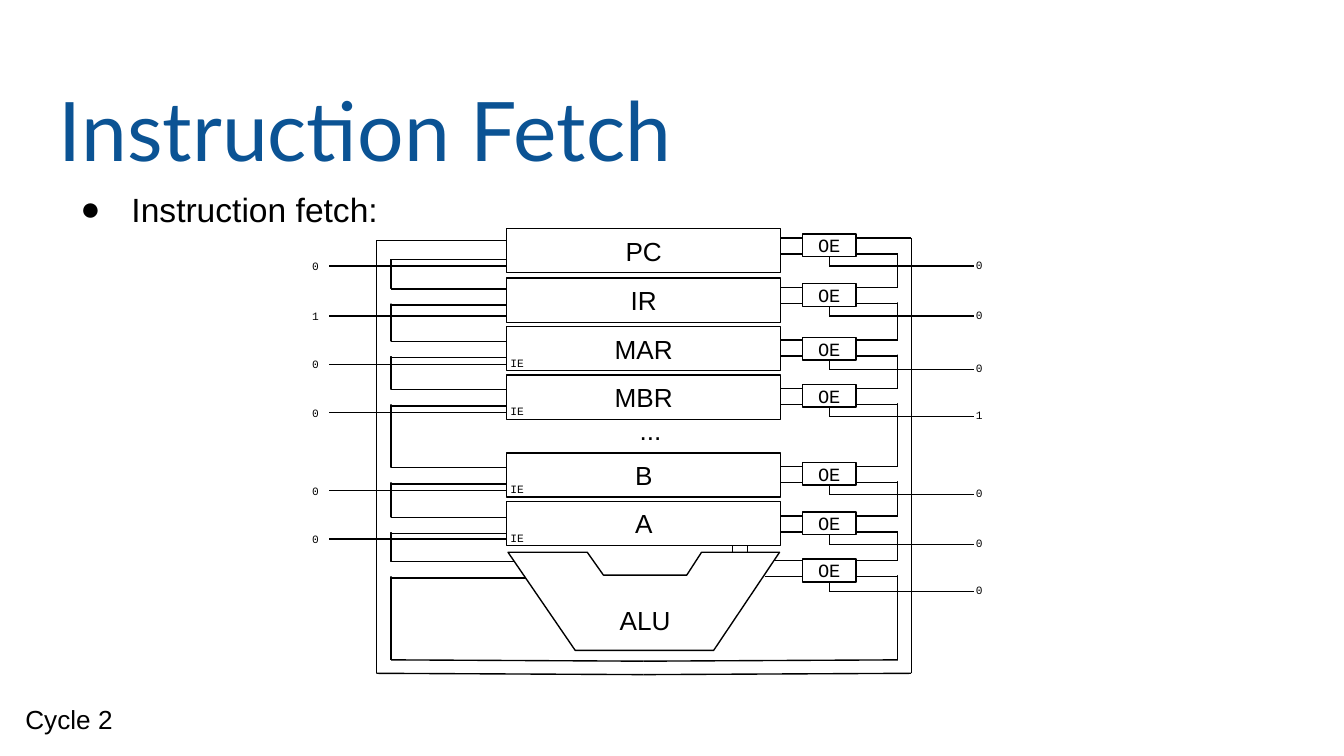
from lxml import etree
from pptx import Presentation, util as u
from pptx.dml.color import RGBColor
from pptx.enum import shapes as sh, text as tx
from pptx.oxml import ns

BLACK = RGBColor(0, 0, 0)
WHITE = RGBColor(255, 255, 255)
BLUE = RGBColor(0x0B, 0x53, 0x94)
SANS, MONO, HEAD = "Arial", "Courier New", "Lato"

deck = Presentation()
deck.slide_width = u.Inches(10)
deck.slide_height = deck.slide_width * 9 // 16
slide = deck.slides.add_slide(deck.slide_layouts[6])
unit = deck.slide_width // 1000


def wire(x1, y1, x2, y2):
    line = slide.shapes.add_connector(
        sh.MSO_CONNECTOR.STRAIGHT, x1 * unit, y1 * unit, x2 * unit, y2 * unit)
    line.line.color.rgb = BLACK
    line.line.width = u.Pt(0.75)
    etree.SubElement(line._element.spPr, ns.qn("a:effectLst"))


def put(x, y, w, h, words="", size=14, face=SANS, color=BLACK, box=False, mid=False):
    area = [n * unit for n in (x, y, w, h)]
    if box or not words:
        item = slide.shapes.add_shape(sh.MSO_SHAPE.RECTANGLE, *area)
        item.shadow.inherit = False
        item.fill.solid()
        item.fill.fore_color.rgb = WHITE
        if box:
            item.line.color.rgb = BLACK
            item.line.width = u.Pt(0.75)
        else:
            item.line.fill.background()
            return None
    else:
        item = slide.shapes.add_textbox(*area)
    frame = item.text_frame
    frame.word_wrap = True
    frame.margin_left = frame.margin_right = frame.margin_top = 10 * unit
    frame.margin_bottom = 0 if size == 6 else 10 * unit
    frame.vertical_anchor = tx.MSO_ANCHOR.MIDDLE if box else tx.MSO_ANCHOR.TOP
    para = frame.paragraphs[0]
    para.alignment = tx.PP_ALIGN.CENTER if box or mid else tx.PP_ALIGN.LEFT
    run = para.add_run()
    run.text = words
    run.font.size = u.Pt(size)
    run.font.name = face
    run.font.color.rgb = color
    return para


put(34, 49, 932, 63, "Instruction Fetch", 44, HEAD, BLUE)
item = put(38, 126, 869, 51, "Instruction fetch:", 18)
item.line_spacing = 1.15
props = item._p.get_or_add_pPr()
props.set("marL", str(50 * unit))
props.set("indent", str(-38 * unit))
tint = etree.SubElement(props, ns.qn("a:buClr"))
etree.SubElement(tint, ns.qn("a:srgbClr")).set("val", str(BLACK))
etree.SubElement(props, ns.qn("a:buSzPts")).set("val", "1800")
etree.SubElement(props, ns.qn("a:buFont")).set("typeface", SANS)
etree.SubElement(props, ns.qn("a:buChar")).set("char", "●")
item.font.size = u.Pt(18)
item.font.name = SANS

for x1, y1, x2, y2 in [
    (280, 179, 280, 501), (678, 177, 678, 501), (280, 501, 479, 502), (479, 502, 678, 501),
    (291, 193, 291, 491), (668, 189, 668, 491), (291, 491, 479, 492), (479, 492, 668, 491),
    (388, 179, 280, 179), (399, 193, 291, 193), (570, 177, 678, 177), (559, 189, 668, 189),
    (545, 401, 545, 412), (556, 401, 556, 412),
]:
    wire(x1, y1, x2, y2)

rows = [
    ("PC", 170, None, 198, "0", "0"),
    ("IR", 207, 215, 235, "1", "0"),
    ("MAR", 243, 254, 275, "0", "0"),
    ("MBR", 279, 290, 310, "0", "1"),
    ("B", 337, 348, 368, "0", "0"),
    ("A", 373, 385, 405, "0", "0"),
    ("ALU", 411, 418, 440, None, "0"),
]
for name, top, gap, out, load, send in rows:
    if gap:
        put(284, gap, 40, 11)
        put(635, gap - 1, 40, 11)
        for step in (0, 12):
            wire(392, gap + step, 291, gap + step)
            wire(569, gap + step - 1, 668, gap + step - 1)
    wire(617, out, 725, out)
    wire(617, out, 617, out - 7)
    put(597, out - 24, 40, 17, "OE", 10, MONO, box=True)
    put(718, out - 16, 18, 21, send, 6, MONO)
    if load:
        wire(245, top + 28, 377, top + 28)
        put(224, top + 13, 18, 21, load, 6, MONO)
        put(377, top, 204, 33, name, box=True)
    if name in ("MAR", "MBR", "B", "A"):
        put(370, top + 12, 40, 20, "IE", 6, MONO)

pen = slide.shapes.build_freeform(378, 411, scale=unit)
pen.add_line_segments([(437, 411), (449, 428), (511, 428), (522, 411),
                       (580, 411), (531, 484), (428, 484)], close=True)
alu = pen.convert_to_shape()
alu.shadow.inherit = False
alu.fill.solid()
alu.fill.fore_color.rgb = WHITE
alu.line.color.rgb = BLACK
alu.line.width = u.Pt(0.75)

put(449, 440, 62, 28, "ALU", mid=True)
put(466, 298, 38, 44, "...")
put(9, 513, 435, 51, "Cycle 2")

deck.save("out.pptx")
